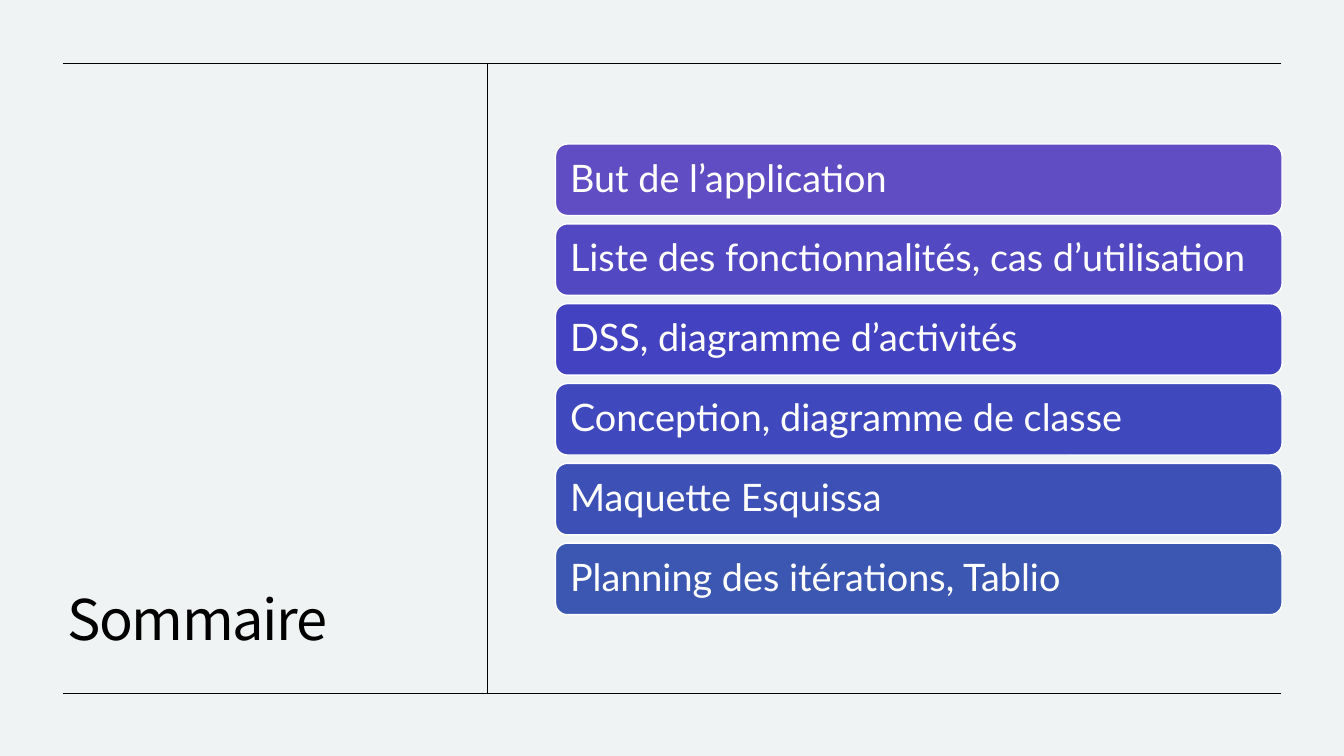
from lxml import etree
from pptx import Presentation
from pptx import util as u
from pptx.dml import color
from pptx.enum import shapes, text
from pptx.oxml import ns

BACKGROUND, INK, WHITE = "F0F3F3", "000000", "FFFFFF"
TOPICS = [
    ("But de l’application", "614DC3"),
    ("Liste des fonctionnalités, cas d’utilisation", "5248C1"),
    ("DSS, diagramme d’activités", "4342C0"),
    ("Conception, diagramme de classe", "3F48BC"),
    ("Maquette Esquissa", "3D50B6"),
    ("Planning des itérations, Tablio", "3B57B1"),
]


def paint(target, hex_colour):
    """Give a fill or a font colour a solid hex colour."""
    if hasattr(target, "solid"):
        target.solid()
        target = target.fore_color
    target.rgb = color.RGBColor.from_string(hex_colour)


def style(paragraph, size, font_name, hex_colour):
    """Set the typography shared by all text on the slide."""
    paragraph.alignment = text.PP_ALIGN.LEFT
    paragraph.line_spacing = 0.9
    paragraph.font.size = u.Pt(size)
    paragraph.font.name = font_name
    paint(paragraph.font.color, hex_colour)


def add_rule(slide, x1, y1, x2, y2):
    """Draw one thin line between two points in centimetres."""
    rule = slide.shapes.add_connector(
        shapes.MSO_CONNECTOR.STRAIGHT, u.Cm(x1), u.Cm(y1), u.Cm(x2), u.Cm(y2))
    paint(rule.line.fill, INK)
    rule.line.width = u.Pt(0.5)
    etree.SubElement(rule._element.spPr, ns.qn("a:effectLst"))


def add_frame(slide, left, top, width, height, divider):
    """Draw the top and bottom rules and the divider at an offset from the left."""
    right, bottom = left + width, top + height
    add_rule(slide, left, bottom, right, bottom)
    add_rule(slide, left + divider, top, left + divider, bottom)
    add_rule(slide, left, top, right, top)


def add_title(slide, left, top, width, height):
    """Place the slide title at the bottom of its box."""
    title = slide.shapes.add_textbox(u.Cm(left), u.Cm(top), u.Cm(width), u.Cm(height))
    frame = title.text_frame
    frame.word_wrap = True
    frame.vertical_anchor = text.MSO_ANCHOR.BOTTOM
    heading = frame.paragraphs[0]
    run = heading.add_run()
    run.text = "Sommaire"
    style(heading, 40, "Noto Sans CJK KR", INK)
    run._r.get_or_add_rPr().set("spc", "-100")


def add_agenda(slide, left, top, width, height, gap=0.21):
    """Stack the topics as equal bars that fill the box."""
    bar_height = (height - gap * (len(TOPICS) - 1)) / len(TOPICS)
    for index, (topic, hex_colour) in enumerate(TOPICS):
        bar = slide.shapes.add_shape(
            shapes.MSO_SHAPE.ROUNDED_RECTANGLE, u.Cm(left),
            u.Cm(top + index * (bar_height + gap)), u.Cm(width), u.Cm(bar_height))
        bar.shadow.inherit = False
        paint(bar.fill, hex_colour)
        paint(bar.line.fill, WHITE)
        bar.line.width = u.Pt(1)
        frame = bar.text_frame
        frame.word_wrap = True
        frame.vertical_anchor = text.MSO_ANCHOR.MIDDLE
        frame.margin_left = frame.margin_right = u.Cm(0.28)
        frame.margin_top = frame.margin_bottom = u.Cm(0.28)
        frame.text = topic
        style(frame.paragraphs[0], 27, "Lato", WHITE)


def main():
    """Build the agenda slide and save it."""
    deck = Presentation()
    deck.slide_width, deck.slide_height = u.Cm(33.87), u.Cm(19.05)
    slide = deck.slides.add_slide(deck.slide_layouts[6])
    paint(slide.background.fill, BACKGROUND)
    add_title(slide, 1.45, 2.51, 9.73, 14.07)
    add_frame(slide, 1.59, 1.59, 30.69, 15.88, divider=10.69)
    add_agenda(slide, 14, 3.63, 18.31, 11.86)
    deck.save("out.pptx")


if __name__ == "__main__":
    main()
